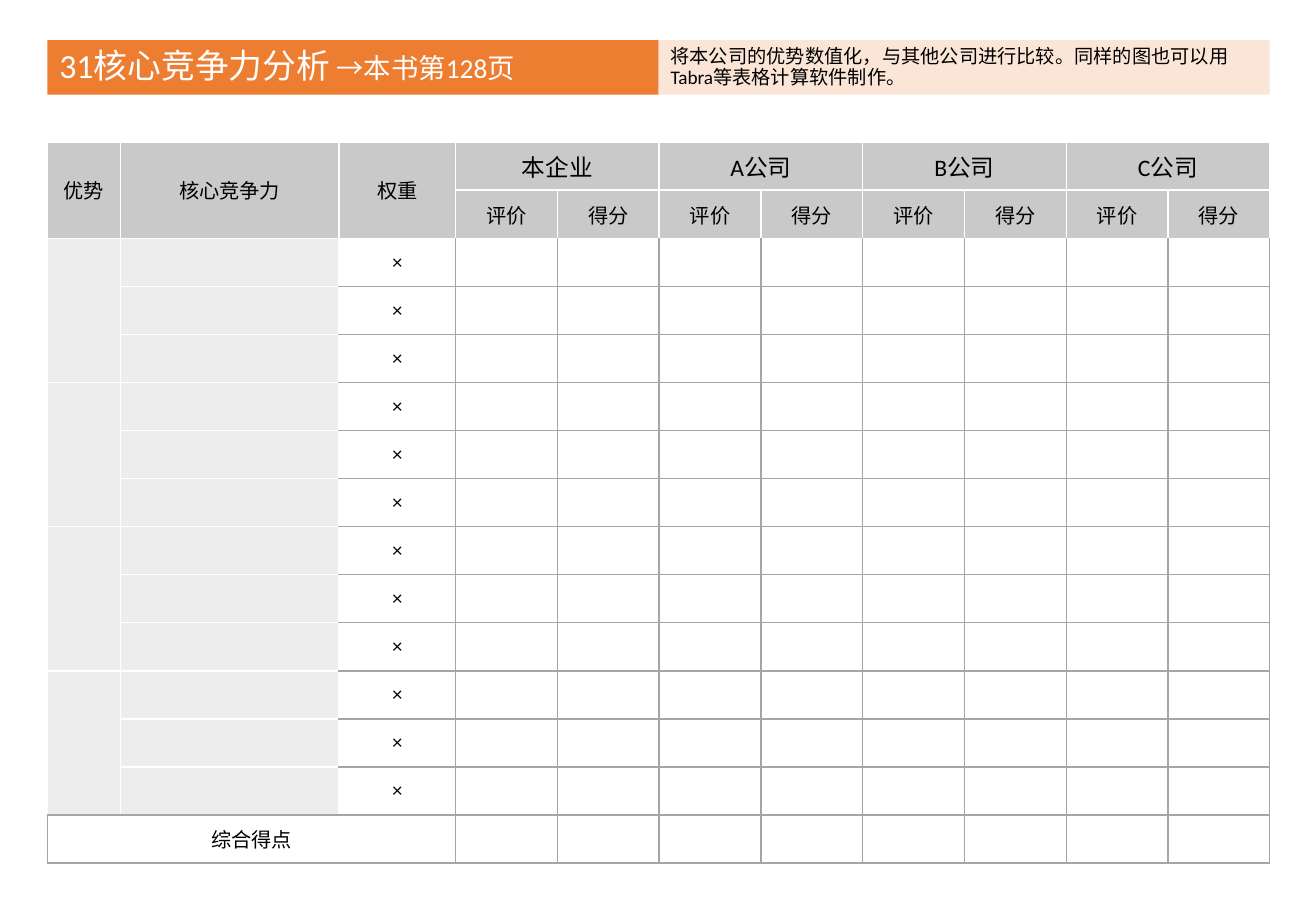
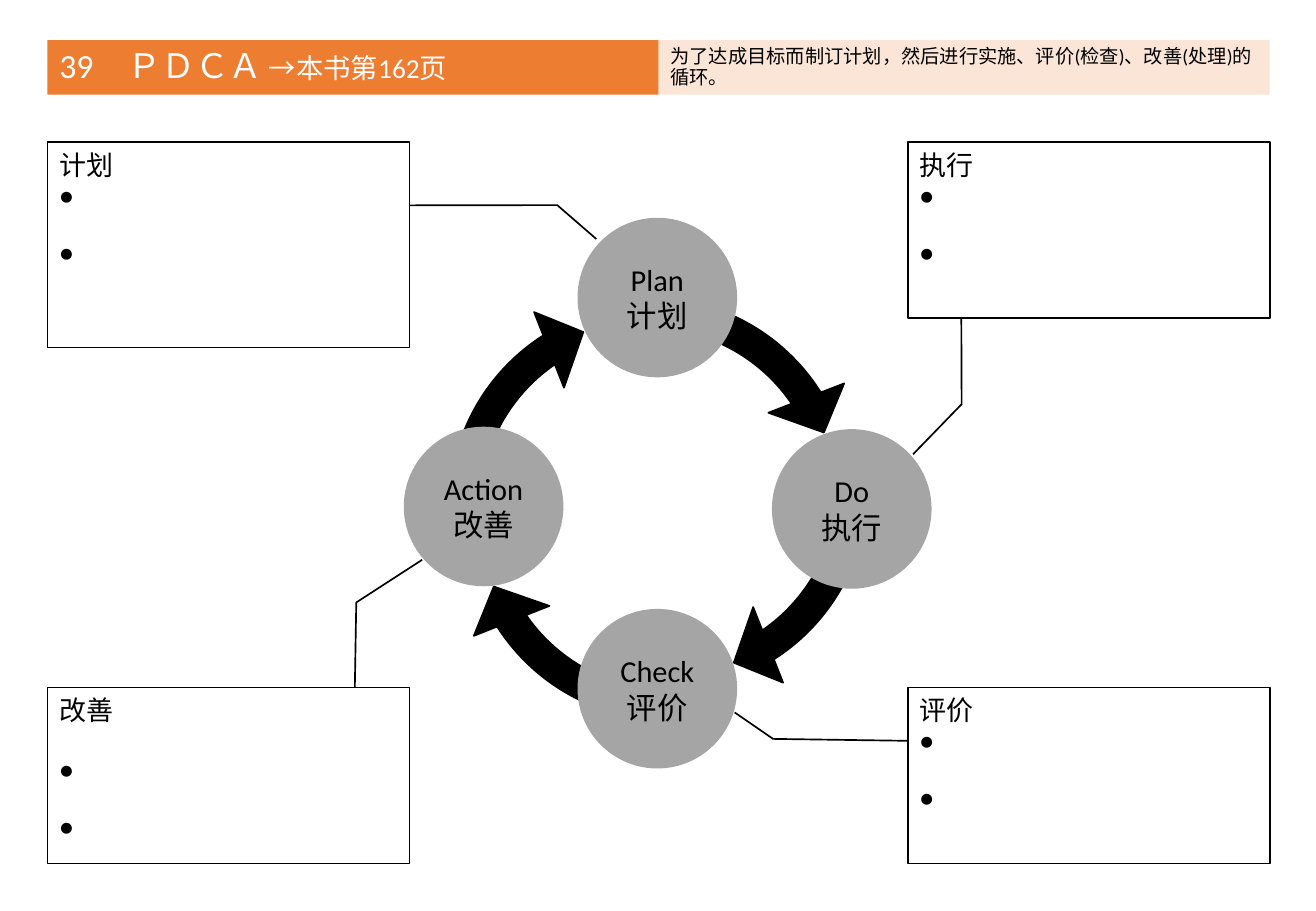
"""Build two worksheet slides: core competence comparison and the PDCA cycle."""
from lxml import etree
from pptx import Presentation
from pptx import util as u
from pptx.dml.color import RGBColor
from pptx.enum import shapes, text
from pptx.oxml.ns import qn

COLORS = {
    "title": "ED7D31", "summary": "FBE5D6", "header": "C9C9C9", "label": "EDEDED",
    "grey": "A5A5A5", "black": "000000", "white": "FFFFFF",
}
FONT = "Calibri"
LEFT, WIDTH = 0.39, 10.06
TOP, BOTTOM = 1.17, 7.11
KINDS = shapes.MSO_SHAPE
ALIGN, ANCHOR = text.PP_ALIGN, text.MSO_ANCHOR


def draw(parent, kind, place, fill, line=None):
    shape = parent.add_shape(kind, *[u.Inches(length) for length in place])
    shape.shadow.inherit = False
    shape.fill.solid()
    shape.fill.fore_color.rgb = RGBColor.from_string(COLORS[fill])
    if line:
        shape.line.color.rgb = RGBColor.from_string(COLORS[line])
        shape.line.width = u.Pt(1)
    else:
        shape.line.fill.background()
    return shape


def write(frame, paragraphs, align=ALIGN.LEFT, color="black"):
    for index, spans in enumerate(paragraphs):
        para = frame.add_paragraph() if index else frame.paragraphs[0]
        para.alignment = align
        for words, size in spans:
            span = para.add_run()
            span.text = words
            span.font.name = FONT
            span.font.size = u.Pt(size)
            span.font.color.rgb = RGBColor.from_string(COLORS[color])


deck = Presentation()
deck.slide_width, deck.slide_height = u.Inches(10.83), u.Inches(7.5)

headings = [
    ("31核心竞争力分析", " →本书第128页",
     "将本公司的优势数值化，与其他公司进行比较。同样的图也可以用Tabra等表格计算软件制作。"),
    ("39　ＰＤＣＡ", " →本书第162页",
     "为了达成目标而制订计划，然后进行实施、评价(检查)、改善(处理)的循环。"),
]
pages = []
for title, reference, summary in headings:
    page = deck.slides.add_slide(deck.slide_layouts[6])
    pages.append(page)
    bands = [
        ("title", "white", [(title, 20), (reference, 16.2)]),
        ("summary", "black", [(summary, 11.4)]),
    ]
    for index, (fill, color, spans) in enumerate(bands):
        place = (LEFT + index * WIDTH / 2, 0.33, WIDTH / 2, 0.45)
        band = draw(page.shapes, KINDS.RECTANGLE, place, fill)
        band.text_frame.word_wrap = True
        band.text_frame.vertical_anchor = ANCHOR.MIDDLE
        write(band.text_frame, [spans], color=color)
        band.text_frame.paragraphs[0].line_spacing = 0.9
competence_page, cycle_page = pages

ROWS, COLUMNS, TOTAL = 15, 11, 14
labels = {(0, 0): "优势", (0, 1): "核心竞争力", (0, 2): "权重", (TOTAL, 0): "综合得点"}
for index, company in enumerate(["本企业", "A公司", "B公司", "C公司"]):
    column = 3 + 2 * index
    labels.update({(0, column): company, (1, column): "评价", (1, column + 1): "得分"})
labels.update({(row, 2): "×" for row in range(2, TOTAL)})

shaded = {(row, column): "header" if row < 2 else "label"
          for row in range(TOTAL) for column in range(COLUMNS) if row < 2 or column < 2}

table = competence_page.shapes.add_table(
    ROWS, COLUMNS, u.Inches(LEFT), u.Inches(TOP), u.Inches(WIDTH), u.Inches(BOTTOM - TOP)).table
table.first_row = table.horz_banding = False
label_widths = [0.6, 1.8, 0.96]
score_width = (WIDTH - sum(label_widths)) / 8
for column, width in zip(table.columns, label_widths + [score_width] * 8):
    column.width = u.Inches(width)
for row in table.rows:
    row.height = u.Inches((BOTTOM - TOP) / ROWS)

for row in range(ROWS):
    for column in range(COLUMNS):
        cell = table.cell(row, column)
        cell.margin_top = cell.margin_bottom = u.Inches(0.02)
        cell.vertical_anchor = ANCHOR.MIDDLE
        if (row, column) in shaded:
            cell.fill.solid()
            cell.fill.fore_color.rgb = RGBColor.from_string(COLORS[shaded[row, column]])
        else:
            cell.fill.background()
        if (row, column) in labels:
            size = 14 if row == 0 and column > 2 else 12
            write(cell.text_frame, [[(labels[row, column], size)]], ALIGN.CENTER)
        neighbours = [("a:lnL", 0, -1), ("a:lnR", 0, 1), ("a:lnT", -1, 0), ("a:lnB", 1, 0)]
        for index, (tag, down, across) in enumerate(neighbours):
            beside = (row + down, column + across)
            above_total = TOTAL in (row, beside[0])
            white = not above_total and ((row, column) in shaded or beside in shaded)
            border = etree.Element(qn(tag), w=str(u.Pt(1)))
            solid = etree.SubElement(border, qn("a:solidFill"))
            etree.SubElement(solid, qn("a:srgbClr"), val=COLORS["white" if white else "grey"])
            cell._tc.get_or_add_tcPr().insert(index, border)

for column in range(3):
    table.cell(0, column).merge(table.cell(1, column))
for column in range(3, COLUMNS, 2):
    table.cell(0, column).merge(table.cell(0, column + 1))
for row in range(2, TOTAL, 3):
    table.cell(row, 0).merge(table.cell(row + 2, 0))
table.cell(TOTAL, 0).merge(table.cell(TOTAL, 2))

cycle = cycle_page.shapes.add_group_shape()
arrows = [
    (3.49, 2.29, 255, 170.654), (3.46, 2.24, 345.4, 170.836),
    (3.59, 2.14, 75, 170.836), (3.62, 2.38, 165, 170.836),
]
for left, top, rotation, start in arrows:
    arrow = draw(cycle.shapes, KINDS.CIRCULAR_ARROW, (left, top, 3.76, 3.76), "black", "black")
    arrow.rotation = rotation
    for index, value in enumerate([0.067, 7.101, 204.941, start, 0.089]):
        arrow.adjustments[index] = value

steps = [
    ("Plan", "计划", 4.76, 1.8), ("Check", "评价", 4.76, 5.02),
    ("Do", "执行", 6.36, 3.54), ("Action", "改善", 3.33, 3.52),
]
for english, chinese, left, top in steps:
    circle = draw(cycle.shapes, KINDS.OVAL, (left, top, 1.3, 1.3), "grey", "grey")
    circle.text_frame.word_wrap = True
    circle.text_frame.vertical_anchor = ANCHOR.MIDDLE
    write(circle.text_frame, [[(english, 18)], [(chinese, 18)]], ALIGN.CENTER)

NOTE_WIDTH, NOTE_HEIGHT, BULLET_GAP = 2.98, 1.45, 17
right = LEFT + WIDTH - NOTE_WIDTH
lower = BOTTOM - NOTE_HEIGHT
notes = [
    ("计划", LEFT, TOP, 1.69, 0, [0.308, 1.001, 0.307, 1.408, 0.472, 1.516]),
    ("执行", right, TOP, NOTE_HEIGHT, 0, [0.997, 0.148, 1.488, 0.149, 1.772, 0.015]),
    ("改善", LEFT, lower, NOTE_HEIGHT, BULLET_GAP, [-0.003, 0.849, -0.483, 0.853, -0.725, 1.035]),
    ("评价", right, lower, NOTE_HEIGHT, 0, [0.303, -0.002, 0.292, -0.372, 0.142, -0.478]),
]
for heading, left, top, height, first_gap, leader in notes:
    note = draw(cycle_page.shapes, KINDS.LINE_CALLOUT_2,
                (left, top, NOTE_WIDTH, height), "white", "black")
    for index, value in enumerate(leader):
        note.adjustments[index] = value
    note.text_frame.word_wrap = True
    note.text_frame.vertical_anchor = ANCHOR.TOP
    write(note.text_frame, [[(heading, 16)], [("●", 14)], [("●", 14)]])
    for para, gap in zip(note.text_frame.paragraphs[1:], [first_gap, BULLET_GAP]):
        para.space_before = u.Pt(gap)

deck.save("out.pptx")
